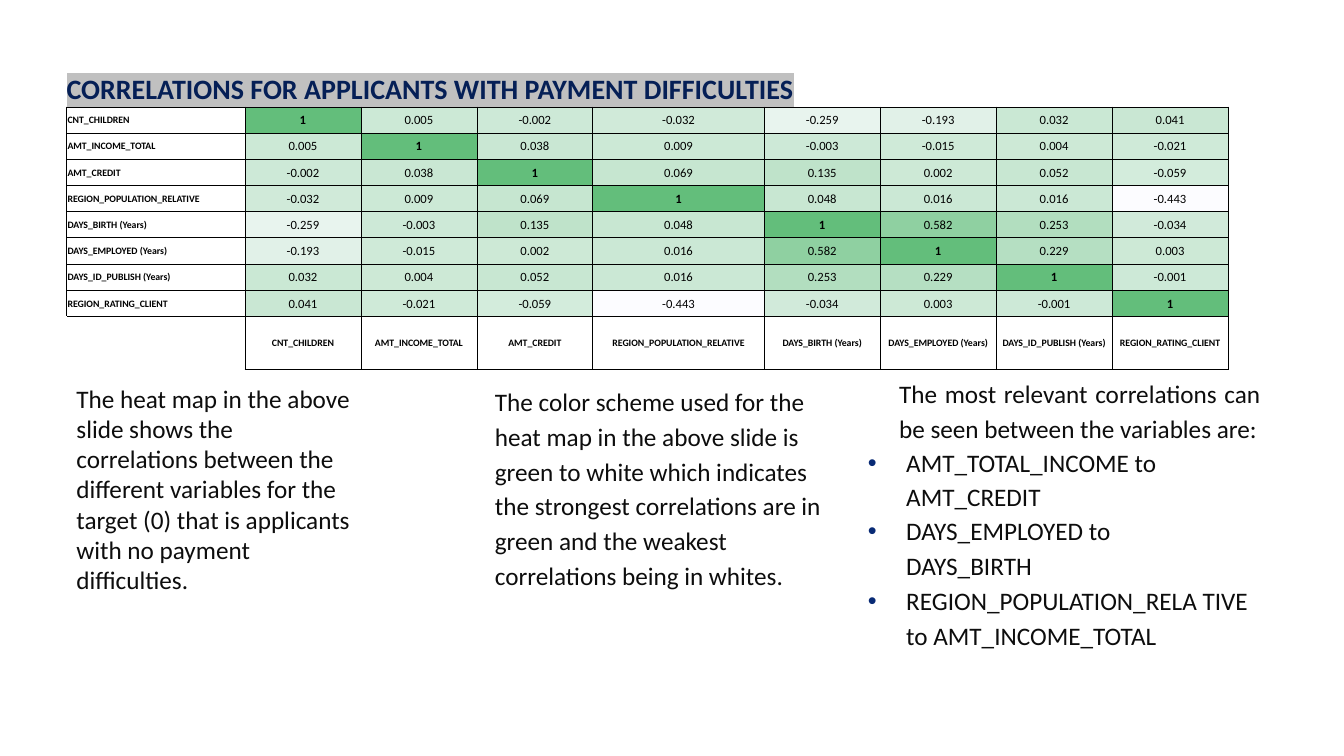
from dataclasses import dataclass

from lxml.etree import SubElement
from pptx import Presentation
from pptx.dml.color import RGBColor
from pptx.enum.text import MSO_ANCHOR, MSO_AUTO_SIZE, PP_ALIGN
from pptx.oxml.ns import qn
from pptx.util import Inches, Pt


@dataclass(frozen=True)
class Theme:
    """Colours, font and type sizes of the slide."""
    font: str = "Calibri"
    title: str = "051F56"
    highlight: str = "C0C0C0"
    body: str = "0D0D0D"
    bullet: str = "082A75"
    grid: str = "000000"
    weakest: str = "FCFCFF"
    strongest: str = "63BE7B"
    title_size: float = 20
    body_size: float = 18
    value_size: float = 9
    label_size: float = 7


THEME = Theme()

TITLE = "CORRELATIONS FOR APPLICANTS WITH PAYMENT DIFFICULTIES"
VARIABLES = [
    "CNT_CHILDREN", "AMT_INCOME_TOTAL", "AMT_CREDIT",
    "REGION_POPULATION_RELATIVE", "DAYS_BIRTH (Years)",
    "DAYS_EMPLOYED (Years)", "DAYS_ID_PUBLISH (Years)",
    "REGION_RATING_CLIENT",
]
# Lower triangle of the symmetric correlation matrix
CORRELATIONS = [
    [1],
    [0.005, 1],
    [-0.002, 0.038, 1],
    [-0.032, 0.009, 0.069, 1],
    [-0.259, -0.003, 0.135, 0.048, 1],
    [-0.193, -0.015, 0.002, 0.016, 0.582, 1],
    [0.032, 0.004, 0.052, 0.016, 0.253, 0.229, 1],
    [0.041, -0.021, -0.059, -0.443, -0.034, 0.003, -0.001, 1],
]
COLUMN_WIDTHS = [1.77, 1.15, 1.15, 1.15, 1.7, 1.15, 1.15, 1.15, 1.15]
ROW_HEIGHTS = [0.26] * len(VARIABLES) + [0.53]

HEAT_MAP_NOTE = (
    "The heat map in the above slide shows the correlations between the "
    "different variables for the target (0) that is applicants with no "
    "payment difficulties.")
COLOR_NOTE = (
    "The color scheme used for the heat map in the above slide is green to "
    "white which indicates the strongest correlations are in green and the "
    "weakest correlations being in whites.")
RELEVANT_NOTE = (
    "The most relevant correlations can be seen between the variables are:")
# Bullet text, right margin in inches, line spacing
RELEVANT_PAIRS = [
    ("AMT_TOTAL_INCOME to AMT_CREDIT", 1, 1.13),
    ("DAYS_EMPLOYED to DAYS_BIRTH", 1, 1.13),
    ("REGION_POPULATION_RELA TIVE to AMT_INCOME_TOTAL", 0.44, 1.17),
]


def style_font(font, size, color, bold=False):
    """Apply the theme font with a size, colour and weight."""
    font.name = THEME.font
    font.size = Pt(size)
    font.bold = bold
    font.color.rgb = RGBColor.from_string(color)


def place(shape, left, top, width, height):
    """Set the position and size of a shape in inches."""
    shape.left, shape.top = Inches(left), Inches(top)
    shape.width, shape.height = Inches(width), Inches(height)


def set_indents(paragraph, left, first=0, right=0):
    """Set paragraph margins and first-line indent in inches."""
    properties = paragraph._p.get_or_add_pPr()
    for name, value in (("marL", left), ("marR", right), ("indent", first)):
        properties.set(name, str(int(Inches(value))))


def add_title(slide):
    """Fill the title placeholder with highlighted text."""
    title = slide.shapes.title
    place(title, 0.09, 0.66, 9.47, 0.44)
    frame = title.text_frame
    frame.auto_size = MSO_AUTO_SIZE.NONE
    frame.word_wrap = True
    frame.vertical_anchor = MSO_ANCHOR.TOP
    paragraph = frame.paragraphs[0]
    paragraph.alignment = PP_ALIGN.LEFT
    paragraph.line_spacing = 1.0
    set_indents(paragraph, 0.47)
    run = paragraph.add_run()
    run.text = TITLE
    style_font(run.font, THEME.title_size, THEME.title, bold=True)
    properties = run._r.get_or_add_rPr()
    highlight = SubElement(properties, qn("a:highlight"))
    SubElement(highlight, qn("a:srgbClr"), val=THEME.highlight)
    properties.find(qn("a:latin")).addprevious(highlight)


def heat_color(value):
    """Blend from the weakest to the strongest colour for a correlation."""
    lowest = min(min(row) for row in CORRELATIONS)
    share = (value - lowest) / (1 - lowest)
    weakest = RGBColor.from_string(THEME.weakest)
    strongest = RGBColor.from_string(THEME.strongest)
    return RGBColor(*(round(low + (high - low) * share)
                      for low, high in zip(weakest, strongest)))


def set_borders(cell, sides):
    """Draw thin grid lines on the given sides, a subset of LRTB."""
    properties = cell._tc.get_or_add_tcPr()
    for side in sides:
        line = SubElement(properties, qn(f"a:ln{side}"), w=str(int(Pt(0.5))))
        fill = SubElement(line, qn("a:solidFill"))
        SubElement(fill, qn("a:srgbClr"), val=THEME.grid)


def fill_cell(cell, text, size, bold, centered=True, color=None):
    """Write one grid cell and give it a heat colour or no fill."""
    cell.vertical_anchor = MSO_ANCHOR.MIDDLE
    cell.margin_left = cell.margin_right = cell.margin_top = Inches(0.01)
    cell.margin_bottom = 0
    set_borders(cell, "LRTB")
    if color is None:
        cell.fill.background()
    else:
        cell.fill.solid()
        cell.fill.fore_color.rgb = color
    cell.text = text
    paragraph = cell.text_frame.paragraphs[0]
    paragraph.alignment = PP_ALIGN.CENTER if centered else PP_ALIGN.LEFT
    style_font(paragraph.font, size, THEME.grid, bold)


def add_heat_map(slide):
    """Add the correlation matrix with row labels and bottom labels."""
    count = len(VARIABLES)
    frame = slide.shapes.add_table(
        count + 1, count + 1, Inches(0.66), Inches(1.06),
        Inches(sum(COLUMN_WIDTHS)), Inches(sum(ROW_HEIGHTS)))
    table = frame.table
    table.first_row = table.horz_banding = False
    for column, width in zip(table.columns, COLUMN_WIDTHS):
        column.width = Inches(width)
    for row, height in zip(table.rows, ROW_HEIGHTS):
        row.height = Inches(height)
    for index, name in enumerate(VARIABLES):
        fill_cell(table.cell(index, 0), name, THEME.label_size, True,
                  centered=False)
        fill_cell(table.cell(count, index + 1), name, THEME.label_size, True)
        for other in range(count):
            value = CORRELATIONS[max(index, other)][min(index, other)]
            fill_cell(table.cell(index, other + 1), str(value),
                      THEME.value_size, index == other,
                      color=heat_color(value))
    corner = table.cell(count, 0)
    set_borders(corner, "RT")
    corner.fill.background()


def add_note(slide, text, left, top, width, height):
    """Add a wrapped text box; return its frame and first paragraph."""
    box = slide.shapes.add_textbox(
        Inches(left), Inches(top), Inches(width), Inches(height))
    frame = box.text_frame
    frame.word_wrap = True
    paragraph = frame.paragraphs[0]
    paragraph.text = text
    style_font(paragraph.font, THEME.body_size, THEME.body)
    return frame, paragraph


def add_bullet(frame, text, right, spacing):
    """Append a bulleted paragraph to a text frame."""
    paragraph = frame.add_paragraph()
    paragraph.text = text
    paragraph.line_spacing = spacing
    set_indents(paragraph, 0.38, -0.38, right)
    properties = paragraph._p.get_or_add_pPr()
    color = SubElement(properties, qn("a:buClr"))
    SubElement(color, qn("a:srgbClr"), val=THEME.bullet)
    SubElement(properties, qn("a:buFont"), typeface="Arial")
    SubElement(properties, qn("a:buChar"), char="•")
    style_font(paragraph.font, THEME.body_size, THEME.body)


def main():
    """Build the slide and save it."""
    presentation = Presentation()
    presentation.slide_width = Inches(13.33)
    presentation.slide_height = Inches(7.5)
    slide = presentation.slides.add_slide(presentation.slide_layouts[5])
    add_title(slide)
    add_heat_map(slide)
    add_note(slide, HEAT_MAP_NOTE, 0.66, 3.75, 3, 2.52)
    _, color_note = add_note(slide, COLOR_NOTE, 4.49, 3.74, 3.85, 2.8)
    color_note.line_spacing = 1.15
    set_indents(color_note, 0.32)
    frame, relevant = add_note(slide, RELEVANT_NOTE, 8.51, 3.66, 4.53, 3.18)
    relevant.alignment = PP_ALIGN.JUSTIFY
    relevant.line_spacing = 1.15
    set_indents(relevant, 0.31, right=0.44)
    for text, right, spacing in RELEVANT_PAIRS:
        add_bullet(frame, text, right, spacing)
    presentation.save("out.pptx")


main()
